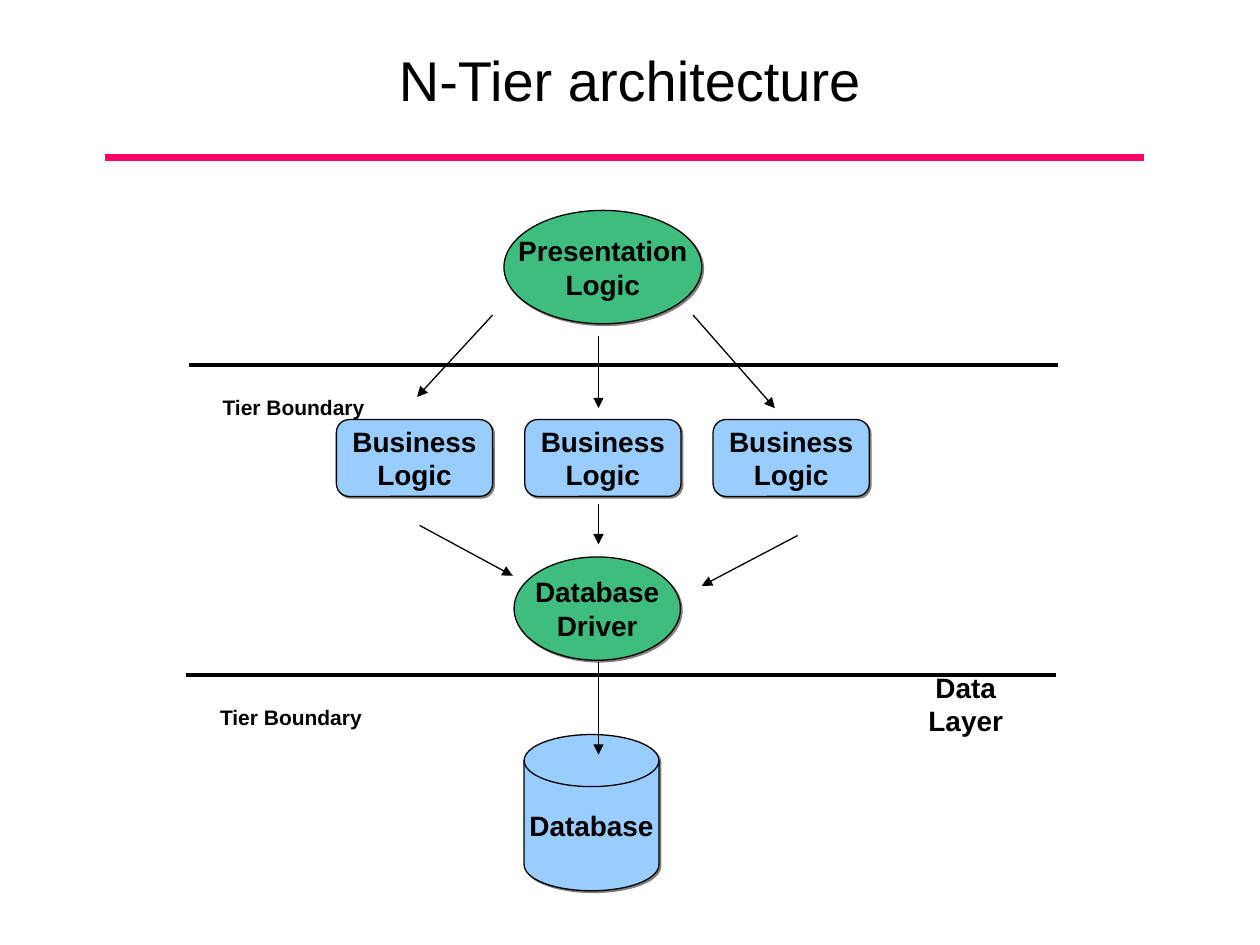
from lxml import etree
from pptx import Presentation
from pptx.dml.color import RGBColor
from pptx.enum.shapes import MSO_CONNECTOR, MSO_SHAPE
from pptx.enum.text import MSO_ANCHOR, MSO_AUTO_SIZE, PP_ALIGN
from pptx.oxml.ns import qn
from pptx.util import Inches, Pt

LINE = MSO_CONNECTOR.STRAIGHT
OVAL = MSO_SHAPE.OVAL
ROUND = MSO_SHAPE.ROUNDED_RECTANGLE
DISK = MSO_SHAPE.FLOWCHART_MAGNETIC_DISK
MIDDLE = MSO_ANCHOR.MIDDLE
CENTER = PP_ALIGN.CENTER
GROW = MSO_AUTO_SIZE.SHAPE_TO_FIT_TEXT

BLACK = RGBColor(0x00, 0x00, 0x00)
PINK = RGBColor(0xFF, 0x00, 0x66)
GREEN = RGBColor(0x3F, 0xBD, 0x7E)
BLUE = RGBColor(0x99, 0xCC, 0xFF)
GRAY = RGBColor(0x80, 0x80, 0x80)


def write(shape, text, size=16, bold=True, wrap=False):
    frame = shape.text_frame
    frame.word_wrap = wrap
    frame.vertical_anchor = MIDDLE
    para = frame.paragraphs[0]
    para.text = text
    para.alignment = CENTER
    for run in para.runs:
        font = run.font
        font.name, font.size, font.bold = "Arial", Pt(size), bold
        font.color.rgb = BLACK


def add_label(slide, text, box, grow=True, **style):
    label = slide.shapes.add_textbox(*map(Inches, box))
    write(label, text, **style)
    if grow:
        label.text_frame.auto_size = GROW


def add_line(slide, start, end, color=BLACK, width=0.75, arrow=False):
    line = slide.shapes.add_connector(LINE, *map(Inches, start + end))
    line.line.color.rgb = color
    line.line.width = Pt(width)
    if arrow:
        etree.SubElement(line.line._get_or_add_ln(), qn("a:tailEnd"), type="triangle")
    etree.SubElement(line._element.spPr, qn("a:effectLst"))


def add_shadow(shape):
    """Give the shape a hard gray shadow to the lower right."""
    shape.shadow.inherit = False
    effects = shape._element.spPr.find(qn("a:effectLst"))
    shadow = etree.SubElement(effects, qn("a:outerShdw"), dist=str(Pt(1.4)),
                              dir="2700000", algn="ctr", rotWithShape="0")
    etree.SubElement(shadow, qn("a:srgbClr"), val=str(GRAY))


def add_node(slide, kind, text, box, fill):
    node = slide.shapes.add_shape(kind, *map(Inches, box))
    node.fill.solid()
    node.fill.fore_color.rgb = fill
    node.line.color.rgb = BLACK
    node.line.width = Pt(0.75)
    add_shadow(node)
    write(node, text)


def add_header(slide, left, top):
    add_line(slide, (left + 0.08, top + 1), (left + 8.33, top + 1), PINK, 4.5)
    add_label(slide, "N-Tier architecture", (left, top, 8.5, 0.75),
              grow=False, size=32, bold=False, wrap=True)


def add_nodes(slide, left, top):
    add_node(slide, DISK, "Database", (left + 1.49, top + 4.16, 1.07, 1.24), BLUE)
    for col in range(3):
        add_node(slide, ROUND, "Business\nLogic",
                 (left + 1.495 * col, top + 1.66, 1.24, 0.61), BLUE)
    add_node(slide, OVAL, "Database\nDriver", (left + 1.41, top + 2.75, 1.32, 0.82), GREEN)
    add_node(slide, OVAL, "Presentation\nLogic", (left + 1.33, top, 1.57, 0.9), GREEN)


def add_arrows(slide, left, top):
    mid = 2.08
    for x1, y1, x2, y2 in (
        (1.24, 0.83, 0.64, 1.48), (mid, 1, mid, 1.57), (2.83, 0.83, 3.48, 1.57),
        (0.66, 2.5, 1.4, 2.9), (mid, 2.33, mid, 2.65), (3.66, 2.58, 2.9, 2.98),
        (mid, 3.58, mid, 4.32),
    ):
        add_line(slide, (left + x1, top + y1), (left + x2, top + y2), arrow=True)


def add_border(slide, left, top):
    """Draw a tier boundary with its caption below."""
    add_line(slide, (left, top), (left + 6.9, top), width=2.25)
    add_label(slide, "Tier Boundary", (left + 0.165, top + 0.185, 1.33, 0.3), size=12)


def main():
    deck = Presentation()
    deck.slide_width, deck.slide_height = Inches(10), Inches(7.5)
    slide = deck.slides.add_slide(deck.slide_layouts[6])
    add_header(slide, 0.75, 0.25)
    add_nodes(slide, 2.67, 1.67)
    add_arrows(slide, 2.67, 1.67)
    add_label(slide, "Data Layer", (7, 5.4, 1.33, 0.37))
    add_border(slide, 1.5, 2.9)
    add_border(slide, 1.48, 5.36)
    deck.save("out.pptx")


if __name__ == "__main__":
    main()
